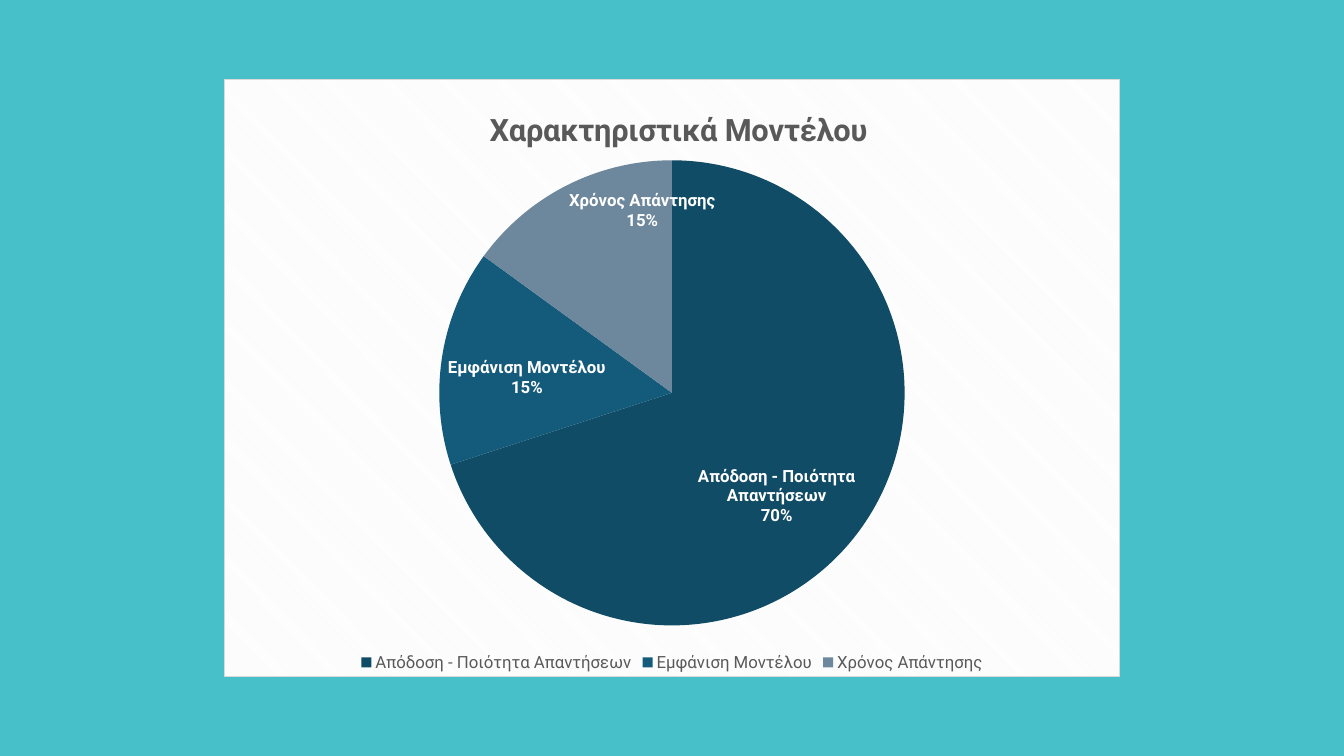
from dataclasses import dataclass

from lxml import etree
from pptx import Presentation
from pptx.chart.data import CategoryChartData as ChartData
from pptx.dml.color import RGBColor as Color
from pptx.enum.chart import XL_CHART_TYPE as Kind
from pptx.enum.chart import XL_LABEL_POSITION as Spot
from pptx.enum.chart import XL_LEGEND_POSITION as Side
from pptx.oxml import parse_xml
from pptx.oxml.ns import nsdecls, qn
from pptx.util import Cm, Pt


@dataclass(frozen=True)
class Theme:
    face: str = "Roboto"
    back: str = "47C0C9"
    ink: str = "595959"
    pale: str = "FFFFFF"
    hatch: str = "F2F2F2"
    edge: str = "D9D9D9"
    slices: tuple = ("114C67", "145A7A", "6D879C")
    head: float = 22
    body: float = 12


THEME = Theme()
SHARES = {
    "Απόδοση - Ποιότητα Απαντήσεων": 70,
    "Εμφάνιση Μοντέλου": 15,
    "Χρόνος Απάντησης": 15,
}


def style(font, size=THEME.body, color=THEME.ink, bold=False):
    font.name = THEME.face
    font.size = Pt(size)
    font.bold = bold
    font.color.rgb = Color.from_string(color)


def write(frame, text, **form):
    run = frame.paragraphs[0].add_run()
    run.text = text
    style(run.font, **form)


def place(owner, after=None, inner=False, **spots):
    layout = owner.find(qn("c:layout"))
    if layout is None:
        layout = etree.Element(qn("c:layout"))
        owner.insert(0 if after is None else owner.index(after) + 1, layout)
    for old in list(layout):
        layout.remove(old)
    grid = etree.SubElement(layout, qn("c:manualLayout"))
    rules = {"layoutTarget": "inner"} if inner else {}
    rules.update(xMode="edge", yMode="edge", **spots)
    for tag, value in rules.items():
        etree.SubElement(grid, qn(f"c:{tag}")).set("val", str(value))


def panel(chart):
    shape = parse_xml(
        f'<c:spPr {nsdecls("c", "a")}>'
        '<a:pattFill prst="dkDnDiag">'
        f'<a:fgClr><a:srgbClr val="{THEME.hatch}"/></a:fgClr>'
        f'<a:bgClr><a:srgbClr val="{THEME.pale}"/></a:bgClr>'
        '</a:pattFill>'
        f'<a:ln w="{Pt(0.75)}"><a:solidFill><a:srgbClr val="{THEME.edge}"/>'
        '</a:solidFill></a:ln></c:spPr>'
    )
    chart.element.find(qn("c:chart")).addnext(shape)


def title(chart):
    chart.has_title = True
    head = chart.chart_title
    write(head.text_frame, "Χαρακτηριστικά Μοντέλου", size=THEME.head, bold=True)
    root = head.element
    place(root, after=root.find(qn("c:tx")), x=0.29, y=0.04)


def legend(chart):
    chart.has_legend = True
    key = chart.legend
    key.position = Side.BOTTOM
    key.include_in_layout = False
    style(key.font)


def slices(chart):
    plot = chart.plots[0]
    plot.vary_by_categories = True
    for index, color in enumerate(THEME.slices):
        look = plot.series[0].points[index].format
        look.fill.solid()
        look.fill.fore_color.rgb = Color.from_string(color)
        look.line.fill.background()
    plot.has_data_labels = True
    labels = plot.data_labels
    labels.show_value = False
    labels.show_percentage = True
    labels.show_category_name = True
    labels.position = Spot.INSIDE_END
    style(labels.font, color=THEME.pale, bold=True)
    area = chart.element.find(".//" + qn("c:plotArea"))
    place(area, inner=True, x=0.24, y=0.13, w=0.52, h=0.79)


def pie(slide, left, top, width, height):
    data = ChartData()
    data.categories = list(SHARES)
    data.add_series("Series 1", list(SHARES.values()))
    chart = slide.shapes.add_chart(Kind.PIE, left, top, width, height, data).chart
    style(chart.font)
    panel(chart)
    title(chart)
    legend(chart)
    slices(chart)


def main():
    deck = Presentation()
    deck.slide_width, deck.slide_height = Cm(33.87), Cm(19.05)
    slide = deck.slides.add_slide(deck.slide_layouts[6])
    fill = slide.background.fill
    fill.solid()
    fill.fore_color.rgb = Color.from_string(THEME.back)
    wide, high = Cm(22.58), Cm(15.06)
    left = (deck.slide_width - wide) // 2
    top = (deck.slide_height - high) // 2
    pie(slide, left, top, wide, high)
    deck.save("out.pptx")


if __name__ == "__main__":
    main()
